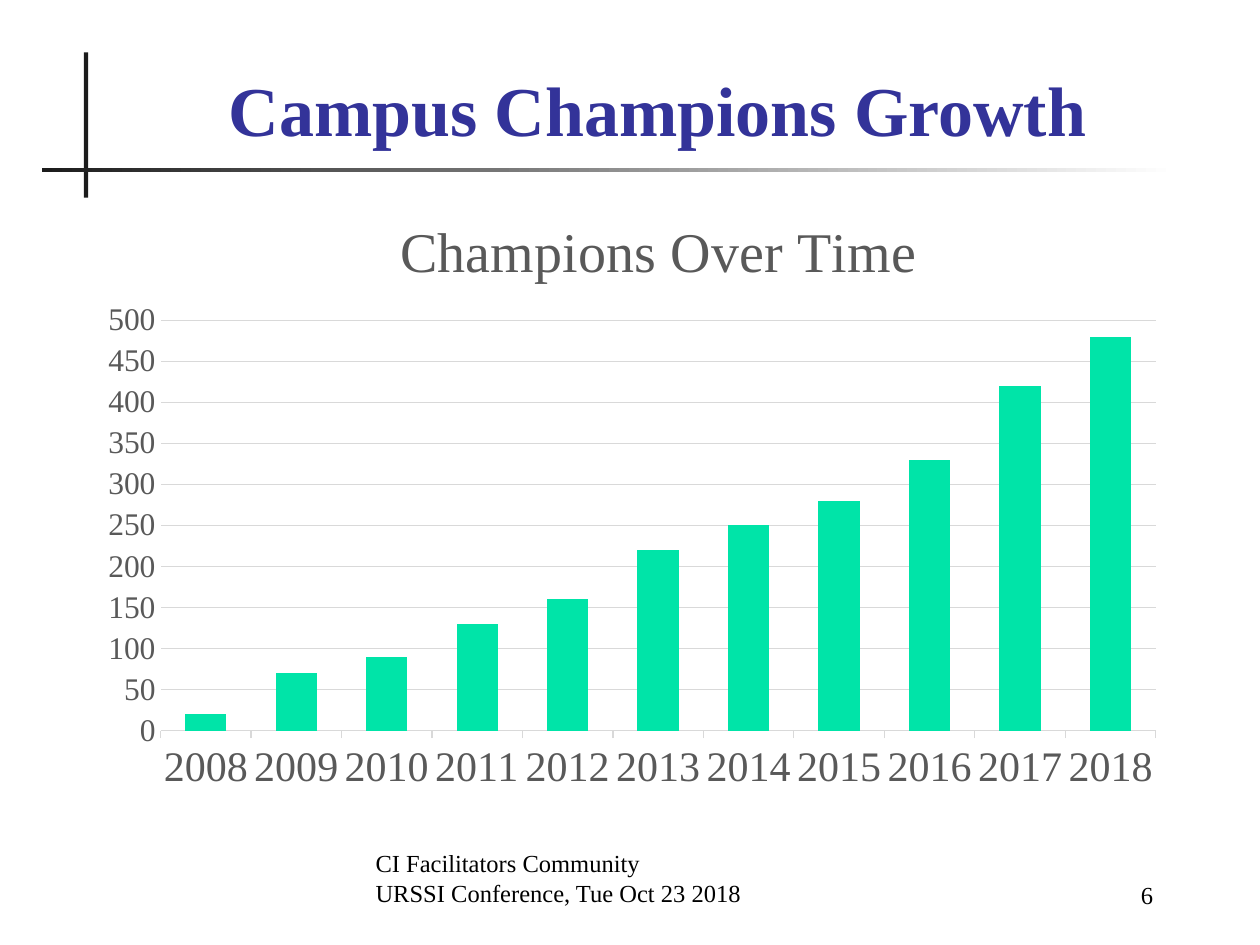
from lxml.etree import SubElement
from pptx import Presentation
from pptx.chart.data import CategoryChartData
from pptx.dml.color import RGBColor
from pptx.enum.chart import XL_CHART_TYPE as ChartType, XL_TICK_MARK as TickMark
from pptx.enum.shapes import MSO_SHAPE as Preset
from pptx.enum.text import MSO_ANCHOR as Anchor, PP_ALIGN as Align
from pptx.oxml.ns import qn
from pptx.util import Pt

WHITE = RGBColor(0xFF, 0xFF, 0xFF)
BLACK = RGBColor(0, 0, 0)
CHARCOAL = RGBColor(0x1C, 0x1C, 0x1C)
INDIGO = RGBColor(0x33, 0x33, 0x99)
GRAY = RGBColor(0x59, 0x59, 0x59)
LIGHT_GRAY = RGBColor(0xD9, 0xD9, 0xD9)
GREEN = RGBColor(0x00, 0xE4, 0xA8)

YEARS = [str(year) for year in range(2008, 2019)]
CHAMPIONS = [20, 70, 90, 130, 160, 220, 250, 280, 330, 420, 480]


class SlideBuilder:
    font_name = "Times New Roman"

    def __init__(self, presentation):
        self.slide = presentation.slides.add_slide(presentation.slide_layouts[6])

    def apply(self, target, **values):
        for name, value in values.items():
            setattr(target, name, value)

    def style_font(self, font, size, color, bold=False):
        self.apply(font, name=self.font_name, size=Pt(size), bold=bold)
        font.color.rgb = color

    def style_line(self, line):
        line.color.rgb = LIGHT_GRAY
        line.width = Pt(0.75)

    def bar(self, box, color, fade_to=None):
        shape = self.slide.shapes.add_shape(Preset.RECTANGLE, *map(Pt, box))
        shape.shadow.inherit = False
        shape.line.fill.background()
        if fade_to is None:
            shape.fill.solid()
            shape.fill.fore_color.rgb = color
        else:
            shape.fill.gradient()
            shape.fill.gradient_angle = 0
            for stop, stop_color in zip(shape.fill.gradient_stops, (color, fade_to)):
                stop.color.rgb = stop_color

    def text(self, box, lines, size, color=BLACK, align=Align.LEFT, bold=False):
        frame = self.slide.shapes.add_textbox(*map(Pt, box)).text_frame
        self.apply(frame, word_wrap=True, vertical_anchor=Anchor.BOTTOM)
        frame.text = "\n".join(lines)
        for paragraph in frame.paragraphs:
            paragraph.alignment = align
            self.style_font(paragraph.runs[0].font, size, color, bold)

    def place(self, element, index, **values):
        for old_layout in element.findall(qn("c:layout")):
            element.remove(old_layout)
        layout = SubElement(element, qn("c:layout"))
        manual = SubElement(layout, qn("c:manualLayout"))
        for name, value in values.items():
            SubElement(manual, qn(f"c:{name}")).set("val", str(value))
        element.insert(index, layout)

    def column_chart(self, box, title, categories, series_name, values):
        data = CategoryChartData(number_format="0")
        data.categories = categories
        data.add_series(series_name, values)
        chart = self.slide.shapes.add_chart(
            ChartType.COLUMN_CLUSTERED, *map(Pt, box), data).chart
        self.apply(chart, has_legend=False, has_title=True)
        self.style_font(chart.font, 10, BLACK)

        title_frame = chart.chart_title.text_frame
        title_frame.text = title
        self.style_font(title_frame.paragraphs[0].runs[0].font, 32, GRAY)
        chart.chart_title.include_in_layout = False

        plot = chart.plots[0]
        self.apply(plot, gap_width=119, overlap=-27, vary_by_categories=False)
        fill = plot.series[0].format.fill
        fill.solid()
        fill.fore_color.rgb = GREEN

        years, counts = chart.category_axis, chart.value_axis
        self.apply(years, major_tick_mark=TickMark.OUTSIDE,
                   minor_tick_mark=TickMark.NONE, has_major_gridlines=False)
        self.apply(counts, major_tick_mark=TickMark.NONE,
                   minor_tick_mark=TickMark.NONE, has_major_gridlines=True,
                   minimum_scale=0, maximum_scale=500, major_unit=50)
        self.style_font(years.tick_labels.font, 24, GRAY)
        self.style_font(counts.tick_labels.font, 18, GRAY)
        self.style_line(years.format.line)
        self.style_line(counts.major_gridlines.format.line)
        counts.format.line.fill.background()

        chart_element = chart.element.find(qn("c:chart"))
        self.place(chart_element.find(qn("c:title")), 1,
                   xMode="edge", yMode="edge", x=0.28, y=0.01)
        self.place(chart_element.find(qn("c:plotArea")), 0,
                   layoutTarget="inner", xMode="edge", yMode="edge",
                   x=0.07, y=0.2, w=0.91, h=0.68)


def main():
    presentation = Presentation()
    presentation.slide_width, presentation.slide_height = Pt(720), Pt(540)
    builder = SlideBuilder(presentation)
    builder.bar((48, 30, 2.4, 83), CHARCOAL)
    builder.bar((24, 96, 648, 2.4), CHARCOAL, fade_to=WHITE)
    builder.text((60, 36, 631.5, 53.5), ["Campus Champions Growth"], 40,
                 INDIGO, Align.CENTER, bold=True)
    builder.text((207.5, 486, 314.5, 36),
                 ["CI Facilitators Community", "URSSI Conference, Tue Oct 23 2018"], 14)
    builder.text((564, 487.5, 102, 36), ["6"], 14, align=Align.RIGHT)
    builder.column_chart((48, 114, 625, 345), "Champions Over Time",
                         YEARS, "Series 1", CHAMPIONS)
    presentation.save("out.pptx")


if __name__ == "__main__":
    main()
